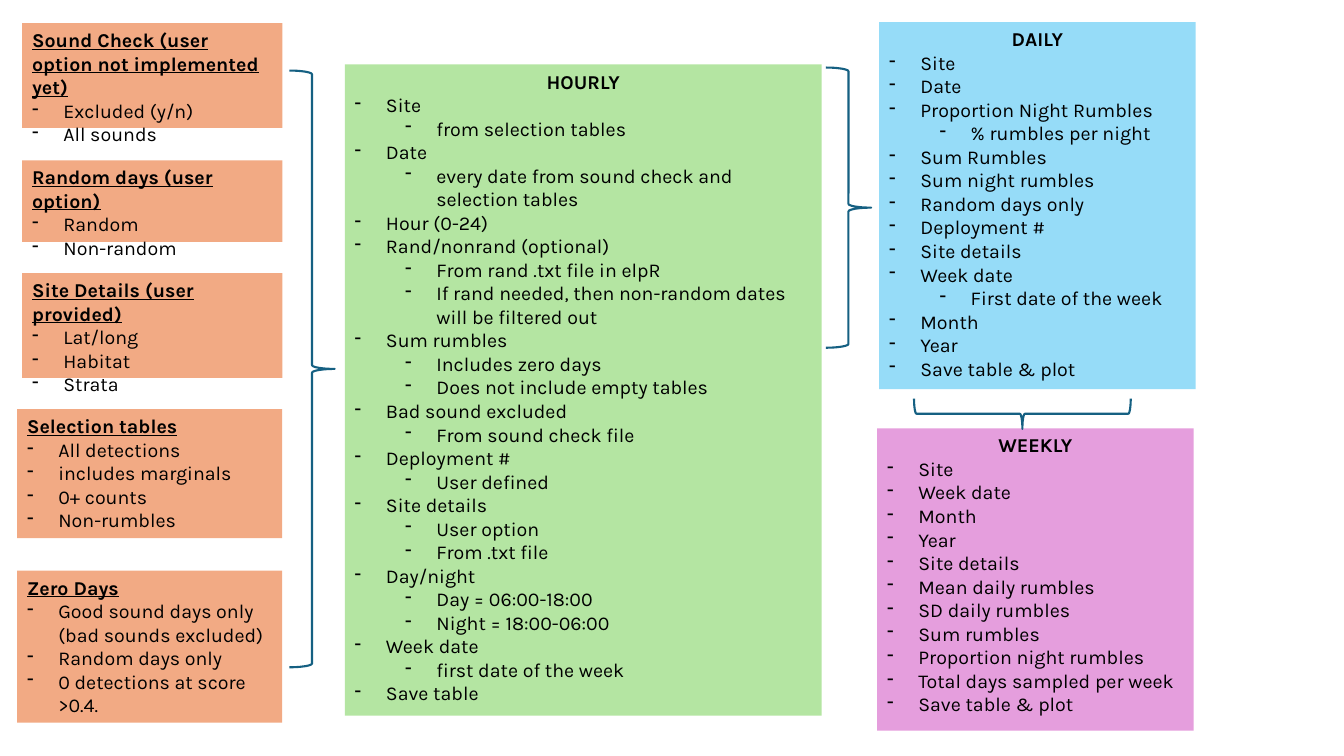
from dataclasses import dataclass
from typing import NamedTuple

from lxml.etree import SubElement
from pptx import Presentation
from pptx.dml.color import RGBColor
from pptx.enum.shapes import MSO_SHAPE
from pptx.enum.text import MSO_ANCHOR, MSO_AUTO_SIZE, PP_ALIGN
from pptx.oxml.ns import qn
from pptx.slide import Slide
from pptx.text.text import TextFrame
from pptx.util import Inches, Pt


@dataclass(frozen=True)
class Theme:
    font: str = "Karla"
    text_size: float = 14
    brace_width: float = 1.5
    text: str = "000000"
    brace: str = "156082"
    source: str = "F2AA84"
    hourly: str = "B4E5A2"
    daily: str = "96DCF8"
    weekly: str = "E59EDD"


class Frame(NamedTuple):
    left: float
    top: float
    width: float
    height: float


class Entry(NamedTuple):
    text: str
    details: tuple[str, ...] = ()


@dataclass(frozen=True)
class Panel:
    heading: str
    frame: Frame
    fill: str
    entries: tuple[Entry, ...]
    is_source: bool = False


@dataclass(frozen=True)
class Brace:
    frame: Frame
    rotation: float = 0


THEME = Theme()
HANGING = 0.31
LEVEL_STEP = 0.5


def source_panel(heading: str, frame: Frame, *entries: str) -> Panel:
    return Panel(heading, frame, THEME.source, tuple(map(Entry, entries)), True)


PANELS = (
    source_panel("Sound Check (user option not implemented yet)",
                 Frame(0.22, 0.23, 2.58, 1.04), "Excluded (y/n)", "All sounds"),
    source_panel("Random days (user option)",
                 Frame(0.22, 1.59, 2.58, 0.81), "Random", "Non-random"),
    source_panel("Site Details (user provided)",
                 Frame(0.22, 2.71, 2.58, 1.04), "Lat/long", "Habitat", "Strata"),
    source_panel("Selection tables", Frame(0.17, 4.06, 2.63, 1.28),
                 "All detections", "includes marginals", "0+ counts", "Non-rumbles"),
    source_panel("Zero Days", Frame(0.17, 5.66, 2.63, 1.51),
                 "Good sound days only (bad sounds excluded)",
                 "Random days only", "0 detections at score >0.4."),
    Panel("HOURLY", Frame(3.42, 0.64, 4.73, 6.46), THEME.hourly, (
        Entry("Site", ("from selection tables",)),
        Entry("Date", ("every date from sound check and selection tables",)),
        Entry("Hour (0-24)"),
        Entry("Rand/nonrand (optional)", (
            "From rand .txt file in elpR",
            "If rand needed, then non-random dates will be filtered out")),
        Entry("Sum rumbles", ("Includes zero days", "Does not include empty tables")),
        Entry("Bad sound excluded", ("From sound check file",)),
        Entry("Deployment #", ("User defined",)),
        Entry("Site details", ("User option", "From .txt file")),
        Entry("Day/night", ("Day = 06:00-18:00", "Night = 18:00-06:00")),
        Entry("Week date", ("first date of the week",)),
        Entry("Save table"),
    )),
    Panel("DAILY", Frame(8.72, 0.22, 3.14, 3.64), THEME.daily, (
        Entry("Site"),
        Entry("Date"),
        Entry("Proportion Night Rumbles", ("% rumbles per night",)),
        Entry("Sum Rumbles"),
        Entry("Sum night rumbles"),
        Entry("Random days only"),
        Entry("Deployment #"),
        Entry("Site details"),
        Entry("Week date", ("First date of the week",)),
        Entry("Month"),
        Entry("Year"),
        Entry("Save table & plot"),
    )),
    Panel("WEEKLY", Frame(8.7, 4.25, 3.14, 3), THEME.weekly, (
        Entry("Site"),
        Entry("Week date"),
        Entry("Month"),
        Entry("Year"),
        Entry("Site details"),
        Entry("Mean daily rumbles"),
        Entry("SD daily rumbles"),
        Entry("Sum rumbles"),
        Entry("Proportion night rumbles"),
        Entry("Total days sampled per week"),
        Entry("Save table & plot"),
    )),
)

BRACES = (
    Brace(Frame(2.87, 0.7, 0.45, 5.92)),
    Brace(Frame(8.19, 0.67, 0.45, 2.78)),
    Brace(Frame(9.99, 3.03, 0.3, 2.15), rotation=90),
)


def write_heading(body: TextFrame, panel: Panel) -> None:
    heading = body.paragraphs[0]
    heading.text = panel.heading
    heading.alignment = PP_ALIGN.LEFT if panel.is_source else PP_ALIGN.CENTER
    heading.font.bold = True
    heading.font.underline = panel.is_source


def write_bullet(body: TextFrame, text: str, level: int) -> None:
    bullet = body.add_paragraph()
    bullet.text = text
    bullet.level = level
    bullet.alignment = PP_ALIGN.LEFT
    properties = bullet._p.get_or_add_pPr()
    properties.set("marL", str(Inches(HANGING + LEVEL_STEP * level)))
    properties.set("indent", str(Inches(-HANGING)))
    SubElement(properties, qn("a:buFontTx"))
    SubElement(properties, qn("a:buChar"), char="-")


def draw_panel(slide: Slide, panel: Panel) -> None:
    box = slide.shapes.add_shape(MSO_SHAPE.RECTANGLE, *map(Inches, panel.frame))
    box.shadow.inherit = False
    box.fill.solid()
    box.fill.fore_color.rgb = RGBColor.from_string(panel.fill)
    box.line.fill.background()
    body = box.text_frame
    body.word_wrap = True
    body.auto_size = MSO_AUTO_SIZE.NONE
    body.vertical_anchor = MSO_ANCHOR.TOP
    write_heading(body, panel)
    for entry in panel.entries:
        write_bullet(body, entry.text, 0)
        for detail in entry.details:
            write_bullet(body, detail, 1)
    for paragraph in body.paragraphs:
        paragraph.font.name = THEME.font
        paragraph.font.size = Pt(THEME.text_size)
        paragraph.font.color.rgb = RGBColor.from_string(THEME.text)


def draw_brace(slide: Slide, brace: Brace) -> None:
    outline = slide.shapes.add_shape(MSO_SHAPE.RIGHT_BRACE, *map(Inches, brace.frame))
    outline.shadow.inherit = False
    outline.rotation = brace.rotation
    outline.fill.background()
    outline.line.color.rgb = RGBColor.from_string(THEME.brace)
    outline.line.width = Pt(THEME.brace_width)


def main() -> None:
    deck = Presentation()
    deck.slide_width = Inches(13.33)
    deck.slide_height = Inches(7.5)
    slide = deck.slides.add_slide(deck.slide_layouts.get_by_name("Blank"))
    for panel in PANELS:
        draw_panel(slide, panel)
    for brace in BRACES:
        draw_brace(slide, brace)
    deck.save("out.pptx")


if __name__ == "__main__":
    main()
